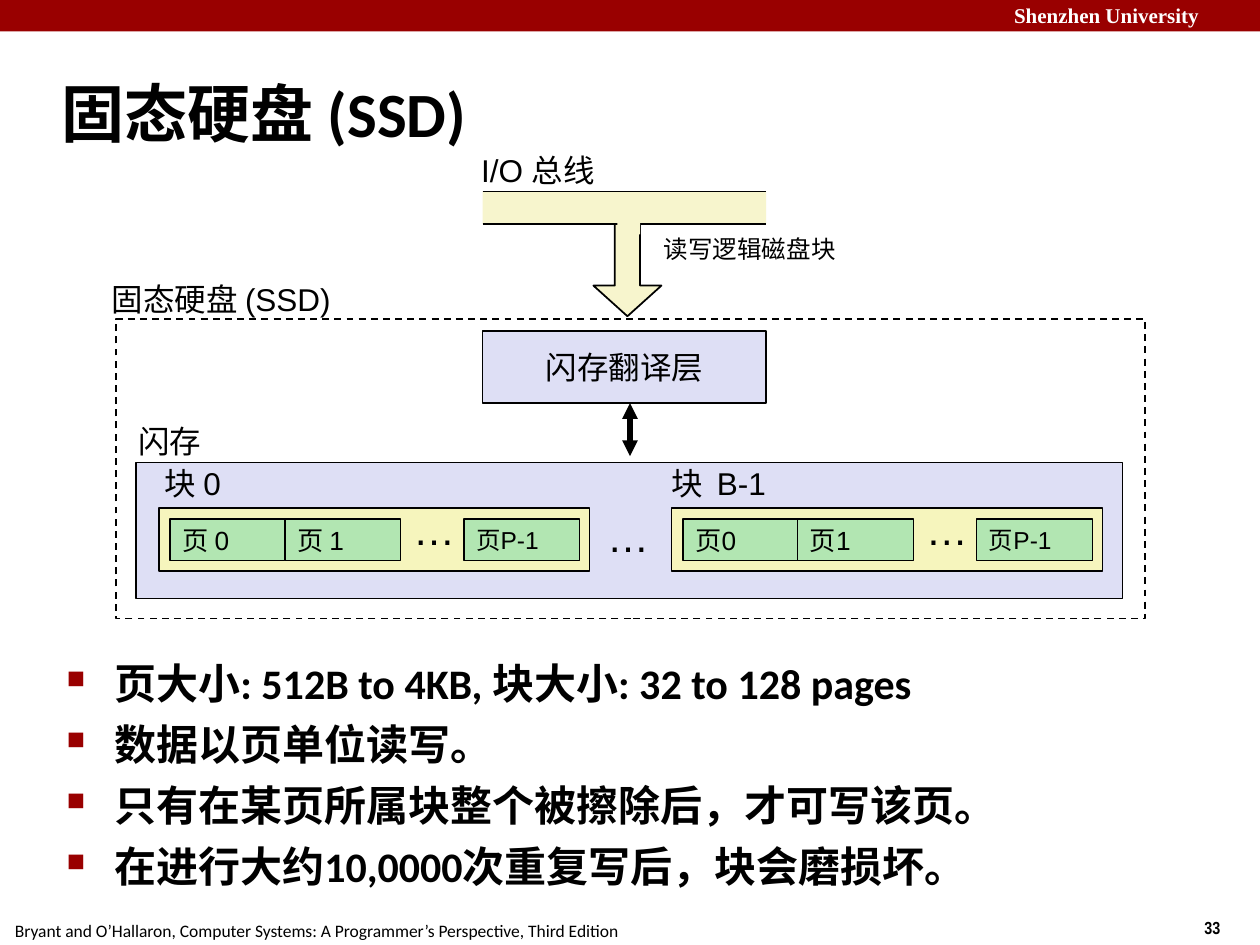
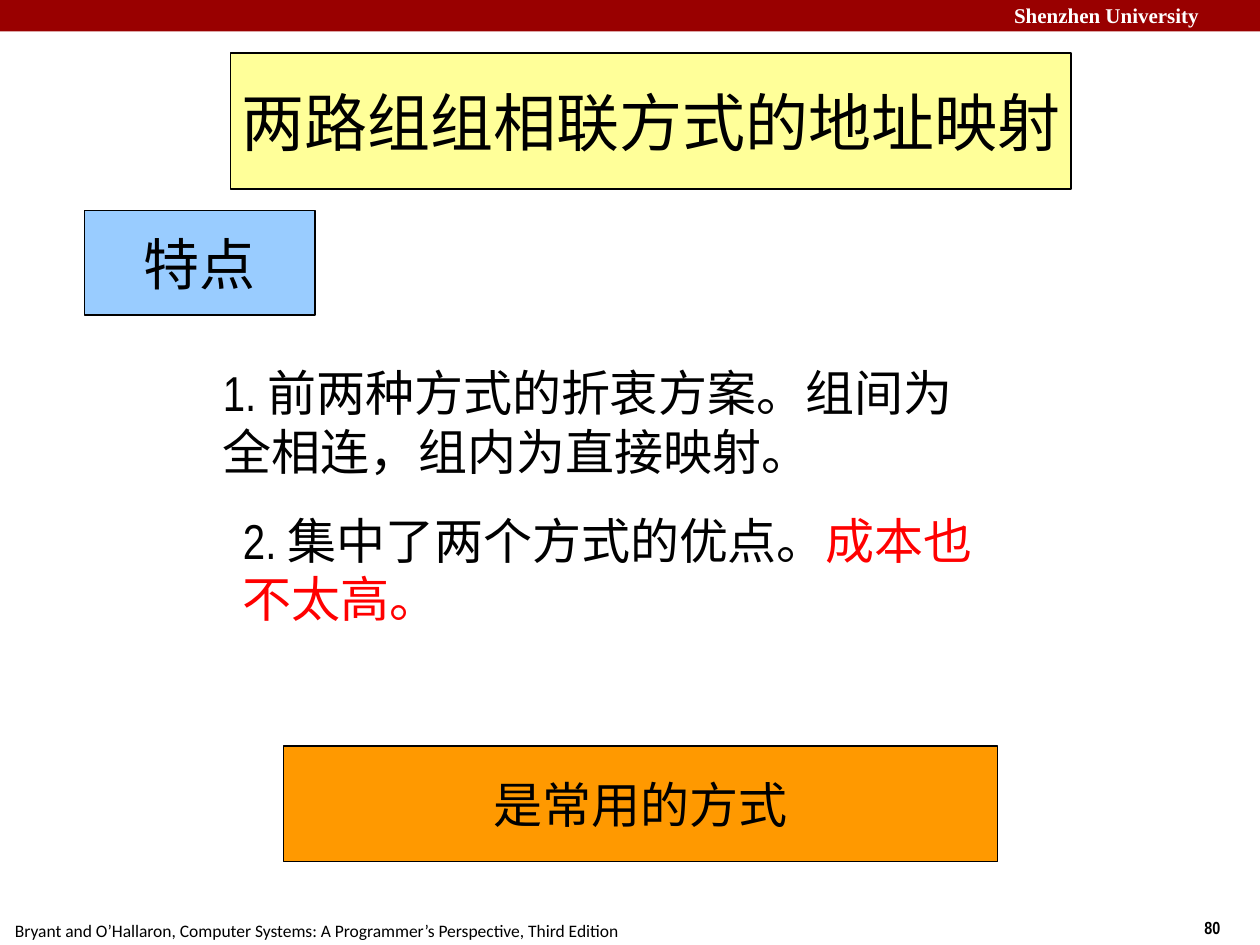
from dataclasses import dataclass, field

from lxml.etree import SubElement
from pptx import Presentation
from pptx.dml.color import RGBColor
from pptx.enum.dml import MSO_LINE
from pptx.enum.shapes import MSO_CONNECTOR, MSO_SHAPE
from pptx.enum.text import MSO_ANCHOR, MSO_AUTO_SIZE, PP_ALIGN
from pptx.oxml.ns import qn
from pptx.shapes.autoshape import Shape
from pptx.shapes.connector import Connector
from pptx.slide import Slide
from pptx.text.text import TextFrame, _Paragraph
from pptx.util import Inches, Pt

BLACK = RGBColor(0x00, 0x00, 0x00)
WHITE = RGBColor(0xFF, 0xFF, 0xFF)
CRIMSON = RGBColor(0x99, 0x00, 0x00)
RED = RGBColor(0xFF, 0x00, 0x00)
LAVENDER = RGBColor(0xDE, 0xDF, 0xF5)
BUS_CREAM = RGBColor(0xF7, 0xF5, 0xCD)
BLOCK_YELLOW = RGBColor(0xF6, 0xF5, 0xBD)
PAGE_GREEN = RGBColor(0xB2, 0xE6, 0xB2)
HEADING_YELLOW = RGBColor(0xFF, 0xFF, 0x99)
TOPIC_BLUE = RGBColor(0x99, 0xCC, 0xFF)
CONCLUSION_ORANGE = RGBColor(0xFF, 0x99, 0x00)

FOOTER = "Bryant and O’Hallaron, Computer Systems: A Programmer’s Perspective, Third Edition"


@dataclass(frozen=True)
class Style:
    size: float
    name: str = "Arial"
    bold: bool = False
    color: RGBColor = BLACK


@dataclass(frozen=True)
class Area:
    left: float
    top: float
    width: float
    height: float

    def lengths(self) -> list[Inches]:
        return [Inches(n) for n in (self.left, self.top, self.width, self.height)]


@dataclass(frozen=True)
class Label:
    text: str
    area: Area
    style: Style
    wrap: bool = False


@dataclass(frozen=True)
class Box:
    area: Area
    fill: RGBColor | None = None
    border: float = 0
    text: str = ""
    style: Style = field(default_factory=lambda: Style(18))
    align: PP_ALIGN = PP_ALIGN.CENTER
    outline: MSO_SHAPE = MSO_SHAPE.RECTANGLE


@dataclass(frozen=True)
class FlashBlock:
    left: float
    caption: Label
    pages: tuple[str, str, str]


SCHOOL = Style(12, "Times New Roman", True, WHITE)
NUMBER = Style(10, "Arial Narrow", True)
CITATION = Style(10, "Calibri")
TITLE = Style(36, "Calibri", True)
BULLET = Style(24, "Calibri", True)
CAPTION = Style(18)
ELLIPSIS = Style(24)
FEATURE = Style(28, "Arial Narrow")
FEATURE_RED = Style(28, "Arial Narrow", color=RED)


def write(paragraph: _Paragraph, text: str, style: Style) -> None:
    run = paragraph.add_run()
    run.text = text
    formats = {"size": Pt(style.size), "name": style.name, "bold": style.bold}
    for attribute, value in formats.items():
        setattr(run.font, attribute, value)
    run.font.color.rgb = style.color


def add_label(slide: Slide, label: Label) -> TextFrame:
    frame = slide.shapes.add_textbox(*label.area.lengths()).text_frame
    formats = {"word_wrap": label.wrap, "auto_size": MSO_AUTO_SIZE.SHAPE_TO_FIT_TEXT}
    for attribute, value in formats.items():
        setattr(frame, attribute, value)
    write(frame.paragraphs[0], label.text, label.style)
    return frame


def add_box(slide: Slide, box: Box) -> Shape:
    shape = slide.shapes.add_shape(box.outline, *box.area.lengths())
    shape.shadow.inherit = False
    if box.fill is None:
        shape.fill.background()
    else:
        shape.fill.solid()
        shape.fill.fore_color.rgb = box.fill
    if box.border:
        shape.line.color.rgb = BLACK
        shape.line.width = Pt(box.border)
    else:
        shape.line.fill.background()
    if box.text:
        frame = shape.text_frame
        formats = {"word_wrap": False, "vertical_anchor": MSO_ANCHOR.MIDDLE}
        for attribute, value in formats.items():
            setattr(frame, attribute, value)
        frame.paragraphs[0].alignment = box.align
        write(frame.paragraphs[0], box.text, box.style)
    return shape


def add_line(
    slide: Slide, start: tuple[float, float], end: tuple[float, float], width: float
) -> Connector:
    line = slide.shapes.add_connector(
        MSO_CONNECTOR.STRAIGHT, *(Inches(n) for n in start + end)
    )
    line.line.color.rgb = BLACK
    line.line.width = Pt(width)
    SubElement(line._element.spPr, qn("a:effectLst"))
    return line


def add_frame(slide: Slide, number: int) -> None:
    add_box(slide, Box(Area(0, 0, 10, 0.25), CRIMSON))
    for label in (
        Label("Shenzhen University", Area(7.95, -0.03, 2.12, 0.3), SCHOOL, True),
        Label(str(number), Area(9.46, 7.23, 0.75, 0.27), NUMBER),
        Label(FOOTER, Area(0.02, 7.25, 5.01, 0.27), CITATION),
    ):
        add_label(slide, label)


def add_bullets(slide: Slide, area: Area, items: tuple[str, ...]) -> None:
    frame = slide.shapes.add_textbox(*area.lengths()).text_frame
    frame.word_wrap = True
    for index, item in enumerate(items):
        paragraph = frame.add_paragraph() if index else frame.paragraphs[0]
        properties = paragraph._p.get_or_add_pPr()
        properties.set("marL", str(Inches(0.38)))
        properties.set("indent", str(-Inches(0.38)))
        color = SubElement(properties, qn("a:buClr"))
        SubElement(color, qn("a:srgbClr"), val=str(CRIMSON))
        SubElement(properties, qn("a:buSzPct"), val="60000")
        SubElement(properties, qn("a:buChar"), char="■")
        if index:
            paragraph.space_before = Pt(6)
        write(paragraph, item, BULLET)


def add_flash_block(slide: Slide, block: FlashBlock) -> None:
    add_box(slide, Box(Area(block.left, 4.03, 3.42, 0.5), BLOCK_YELLOW, 1))
    for offset, size, page in zip((0.09, 1, 2.42), (15, 15, 14), block.pages):
        area = Area(block.left + offset, 4.12, 0.92, 0.33)
        add_box(slide, Box(area, PAGE_GREEN, 1, page, Style(size), PP_ALIGN.LEFT))
    add_label(slide, Label("…", Area(block.left + 1.92, 3.95, 0.53, 0.5), ELLIPSIS))
    add_label(slide, block.caption)


def add_bus(slide: Slide) -> None:
    left, right, top, bottom = 3.83, 6.08, 1.52, 1.78
    arrow = add_box(
        slide,
        Box(Area(4.71, 1.76, 0.54, 0.75), BUS_CREAM, 1, outline=MSO_SHAPE.DOWN_ARROW),
    )
    arrow.adjustments[0] = 0.37
    arrow.adjustments[1] = 0.45
    add_box(slide, Box(Area(left, top, right - left, bottom - top), BUS_CREAM))
    for edge in (top, bottom):
        add_line(slide, (left, edge), (right, edge), 1)
    add_box(slide, Box(Area(4.9, 1.69, 0.18, 0.17), BUS_CREAM))


def build_ssd(slide: Slide) -> None:
    add_frame(slide, 33)
    title = add_label(
        slide, Label("固态硬盘 (SSD)", Area(0.39, 0.48, 8.3, 0.83), TITLE, True)
    )
    title.auto_size = MSO_AUTO_SIZE.NONE
    title.vertical_anchor = MSO_ANCHOR.MIDDLE

    add_box(slide, Box(Area(1.08, 3.67, 7.83, 1.08), LAVENDER, 1))
    add_bus(slide)
    add_box(slide, Box(Area(3.83, 2.63, 2.25, 0.57), LAVENDER, 1, "闪存翻译层"))
    exchange = add_line(slide, (5, 3.2), (5, 3.62), 3)
    outline = exchange.line._get_or_add_ln()
    for end in ("a:headEnd", "a:tailEnd"):
        SubElement(outline, qn(end), type="triangle")

    for block in (
        FlashBlock(
            1.26,
            Label("块 0", Area(1.21, 3.63, 0.8, 0.4), CAPTION),
            ("页 0", "页 1", "页P-1"),
        ),
        FlashBlock(
            5.33,
            Label("块  B-1", Area(5.23, 3.63, 1.1, 0.4), CAPTION),
            ("页0", "页1", "页P-1"),
        ),
    ):
        add_flash_block(slide, block)

    drive = add_box(slide, Box(Area(0.92, 2.53, 8.17, 2.38), border=1))
    drive.line.dash_style = MSO_LINE.DASH
    for label in (
        Label("I/O 总线", Area(3.72, 1.15, 1.2, 0.4), CAPTION),
        Label("…", Area(4.72, 4, 0.53, 0.5), ELLIPSIS),
        Label("闪存", Area(1, 3.3, 0.75, 0.4), CAPTION),
        Label("固态硬盘 (SSD)", Area(0.79, 2.17, 2.05, 0.4), CAPTION),
        Label(
            "读写逻辑磁盘块",
            Area(5.17, 1.81, 2.33, 0.34),
            Style(14, "Arial Narrow"),
            True,
        ),
    ):
        add_label(slide, label)

    add_bullets(
        slide,
        Area(0.43, 5.17, 8.64, 2.08),
        (
            "页大小: 512B to 4KB, 块大小: 32 to 128 pages",
            "数据以页单位读写。",
            "只有在某页所属块整个被擦除后，才可写该页。",
            "在进行大约10,0000次重复写后，块会磨损坏。",
        ),
    )


def build_mapping(slide: Slide) -> None:
    add_frame(slide, 80)
    for area, fill, text, size in (
        (Area(1.83, 0.42, 6.67, 1.08), HEADING_YELLOW, "两路组组相联方式的地址映射", 36),
        (Area(0.67, 1.67, 1.83, 0.83), TOPIC_BLUE, "特点", 32),
        (Area(2.25, 5.92, 5.67, 0.92), CONCLUSION_ORANGE, "是常用的方式", 28),
    ):
        add_box(slide, Box(area, fill, 0.75, text, Style(size, "Arial Narrow")))
    add_label(
        slide,
        Label(
            "1. 前两种方式的折衷方案。组间为全相连，组内为直接映射。",
            Area(1.67, 2.83, 6.33, 1.04),
            FEATURE,
            True,
        ),
    )
    advantages = add_label(
        slide,
        Label("2. 集中了两个方式的优点。", Area(1.83, 4, 6.25, 1.04), FEATURE, True),
    )
    write(advantages.paragraphs[0], "成本也不太高。", FEATURE_RED)


def main() -> None:
    presentation = Presentation()
    presentation.slide_width = Inches(10)
    presentation.slide_height = Inches(7.5)
    blank = presentation.slide_layouts[6]
    for build in (build_ssd, build_mapping):
        build(presentation.slides.add_slide(blank))
    presentation.save("out.pptx")


if __name__ == "__main__":
    main()
